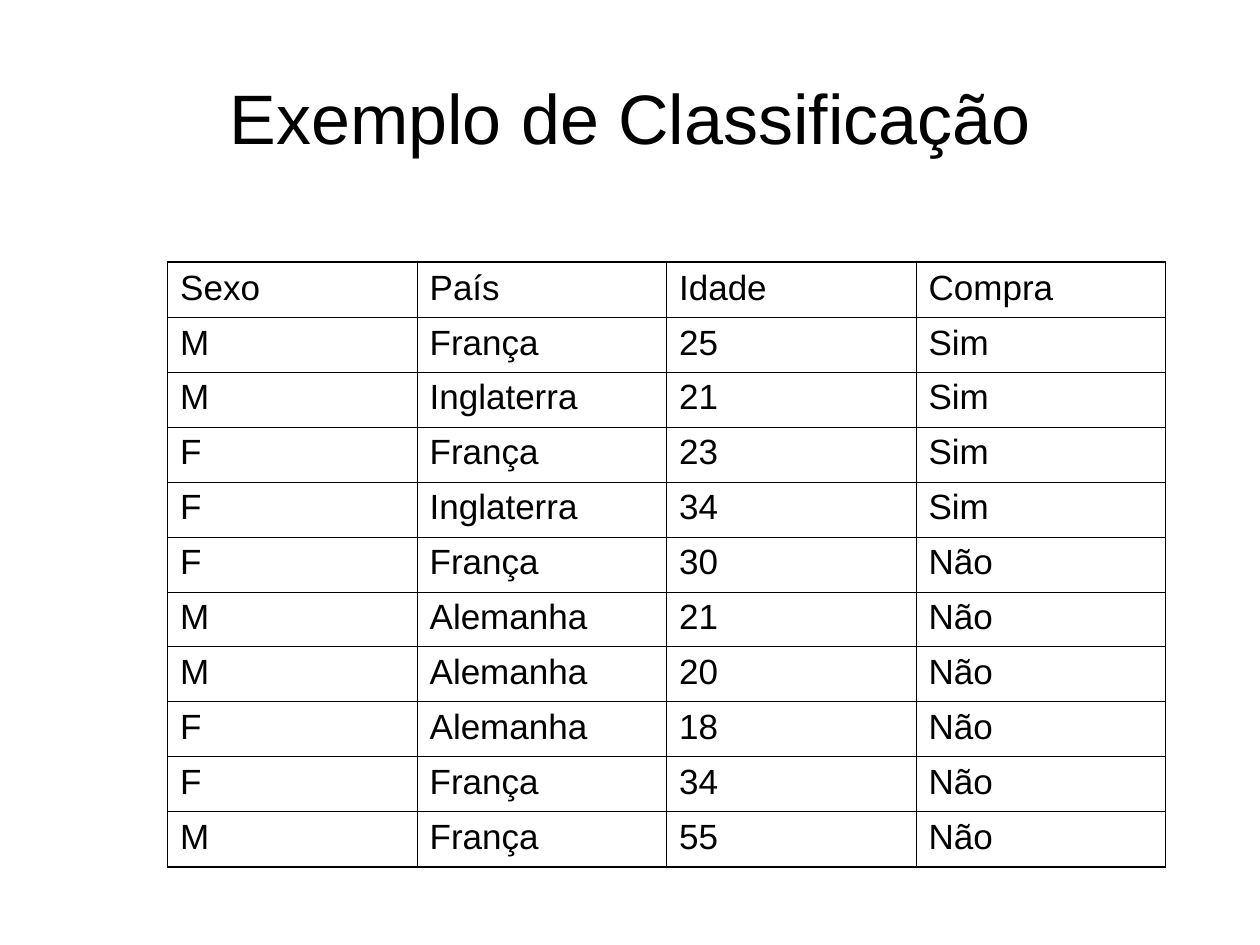
from typing import NamedTuple

from lxml.etree import SubElement
from pptx import Presentation
from pptx.dml.color import RGBColor
from pptx.enum.text import MSO_ANCHOR, PP_ALIGN
from pptx.oxml.ns import qn
from pptx.util import Inches, Pt

COLORS = {"text": "000000", "line": "000000"}
FONT = "Arial"
THIN, THICK = 0.45, 1.08
TOP, HEIGHT = 2.08, 4.8


class Record(NamedTuple):
    sex: str
    country: str
    age: str
    buys: str


RECORDS = [
    Record("Sexo", "País", "Idade", "Compra"),
    Record("M", "França", "25", "Sim"),
    Record("M", "Inglaterra", "21", "Sim"),
    Record("F", "França", "23", "Sim"),
    Record("F", "Inglaterra", "34", "Sim"),
    Record("F", "França", "30", "Não"),
    Record("M", "Alemanha", "21", "Não"),
    Record("M", "Alemanha", "20", "Não"),
    Record("F", "Alemanha", "18", "Não"),
    Record("F", "França", "34", "Não"),
    Record("M", "França", "55", "Não"),
]


def style(frame, size: float) -> None:
    for run in frame.paragraphs[0].runs:
        run.font.name = FONT
        run.font.size = Pt(size)
        run.font.bold = False
        run.font.color.rgb = RGBColor.from_string(COLORS["text"])


def border(cell, side: str, width: float) -> None:
    props = cell._tc.get_or_add_tcPr()
    line = SubElement(props, qn(f"a:ln{side}"), w=str(int(Pt(width))))
    fill = SubElement(line, qn("a:solidFill"))
    SubElement(fill, qn("a:srgbClr"), val=COLORS["line"])


def draw_title(slide, text: str) -> None:
    title = slide.shapes.title
    title.left, title.top = Inches(0.5), Inches(0.3)
    title.width, title.height = Inches(9), Inches(1.25)
    frame = title.text_frame
    frame.text = text
    frame.vertical_anchor = MSO_ANCHOR.MIDDLE
    frame.paragraphs[0].alignment = PP_ALIGN.CENTER
    style(frame, 40)


def draw_table(slide, records: list[Record]) -> None:
    rows, cols = len(records), len(Record._fields)
    table = slide.shapes.add_table(
        rows, cols, Inches(1.33), Inches(TOP), Inches(7.92), Inches(HEIGHT)
    ).table
    table.first_row = table.horz_banding = False
    for r, record in enumerate(records):
        for c, text in enumerate(record):
            cell = table.cell(r, c)
            cell.text = text
            style(cell.text_frame, 20)
            edges = {"L": c == 0, "R": c == cols - 1, "T": r == 0, "B": r == rows - 1}
            for side, outer in edges.items():
                border(cell, side, THICK if outer else THIN)
            cell.fill.background()


def main() -> None:
    deck = Presentation()
    deck.slide_width, deck.slide_height = Inches(10), Inches(7.5)
    slide = deck.slides.add_slide(deck.slide_layouts[5])
    draw_title(slide, "Exemplo de Classificação")
    draw_table(slide, RECORDS)
    deck.save("out.pptx")


if __name__ == "__main__":
    main()
